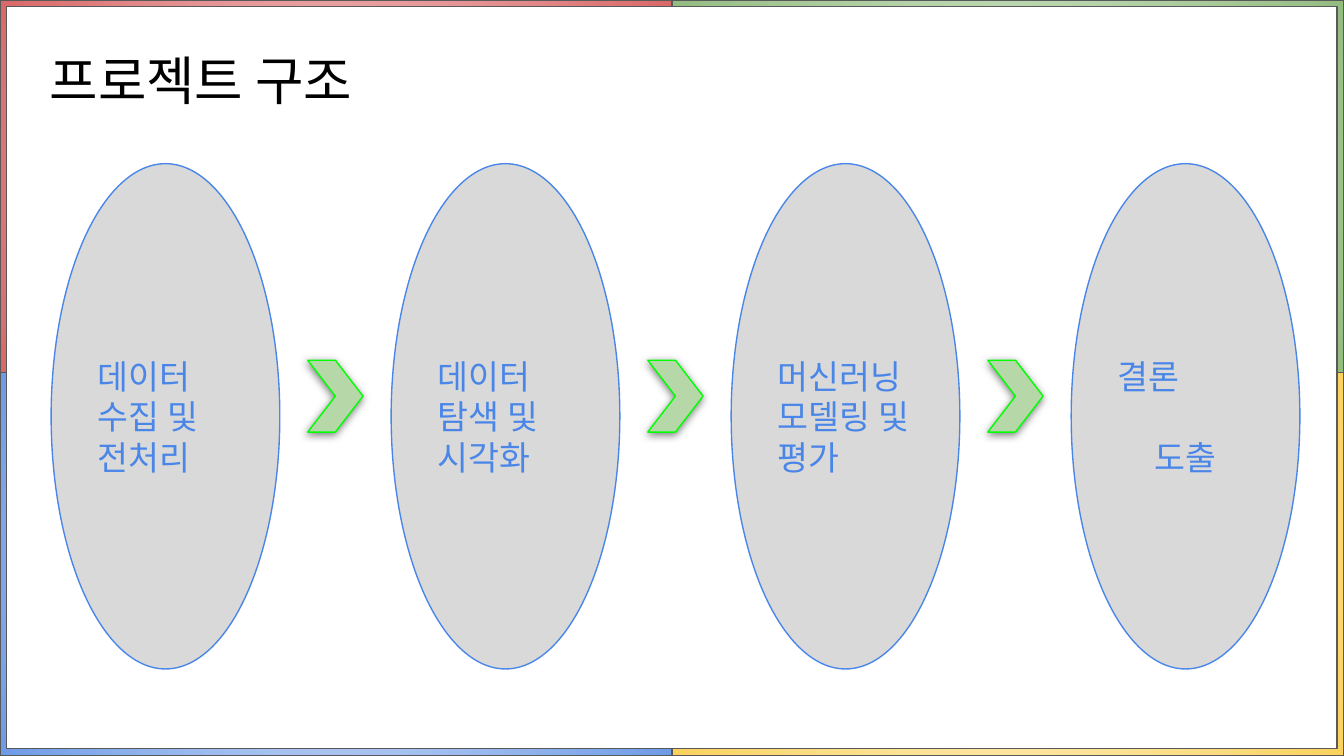
from dataclasses import dataclass

from lxml.etree import SubElement
from pptx import Presentation
from pptx.dml.color import RGBColor
from pptx.enum.shapes import MSO_SHAPE
from pptx.enum.text import MSO_ANCHOR, PP_ALIGN
from pptx.oxml import parse_xml
from pptx.oxml.ns import nsdecls, qn
from pptx.util import Pt

FONT = "Noto Sans CJK KR"
LINE_PITCH = 21.7
STEP_PITCH = 182.16
COLORS = {
    "white": "FFFFFF",
    "black": "000000",
    "frame": "595959",
    "oval": "D9D9D9",
    "blue": "4A86E8",
    "arrow": "B6D7A8",
    "green": "00FF00",
}


@dataclass
class Box:
    left: float
    top: float
    width: float
    height: float


@dataclass
class Corner:
    box: Box
    inner: str
    outer: str


@dataclass
class Step:
    lines: list[str]
    aligns: list[PP_ALIGN]


def rgb(name: str) -> RGBColor:
    return RGBColor.from_string(COLORS[name])


def add_shape(s, kind, box: Box, fill: str, line: str):
    sp = s.shapes.add_shape(
        kind, Pt(box.left), Pt(box.top), Pt(box.width), Pt(box.height)
    )
    sp.shadow.inherit = False
    sp.fill.solid()
    sp.fill.fore_color.rgb = rgb(fill)
    sp.line.color.rgb = rgb(line)
    sp.line.width = Pt(0.75)
    return sp


def add_corner(s, corner: Corner) -> None:
    sp = add_shape(s, MSO_SHAPE.RECTANGLE, corner.box, "white", "frame")
    solid = sp._element.spPr.find(qn("a:solidFill"))
    grad = parse_xml(
        f'<a:gradFill {nsdecls("a")} rotWithShape="1"><a:gsLst>'
        f'<a:gs pos="0"><a:srgbClr val="{corner.inner}"/></a:gs>'
        f'<a:gs pos="100000"><a:srgbClr val="{corner.outer}"/></a:gs></a:gsLst>'
        '<a:path path="circle">'
        '<a:fillToRect l="50000" t="50000" r="50000" b="50000"/></a:path></a:gradFill>'
    )
    solid.getparent().replace(solid, grad)


def add_chevron(s, box: Box) -> None:
    sp = add_shape(s, MSO_SHAPE.CHEVRON, box, "arrow", "green")
    effects = sp._element.spPr.find(qn("a:effectLst"))
    effects.append(parse_xml(
        f'<a:outerShdw {nsdecls("a")} blurRad="{Pt(4.5)}" dist="{Pt(1.5)}" '
        f'dir="6300000" algn="bl" rotWithShape="0"><a:srgbClr val="{COLORS["black"]}">'
        '<a:alpha val="50000"/></a:srgbClr></a:outerShdw>'
    ))


def write_text(sp, lines: list[str], aligns: list[PP_ALIGN], size: float, color: str) -> None:
    tf = sp.text_frame
    tf.word_wrap = True
    tf.vertical_anchor = MSO_ANCHOR.MIDDLE
    tf.margin_left = tf.margin_right = tf.margin_top = tf.margin_bottom = Pt(7.2)
    tf.text = "\n".join(lines)
    for p, align in zip(tf.paragraphs, aligns):
        p.alignment = align
        for r in p.runs:
            r.font.name = FONT
            r.font.size = Pt(size)
            r.font.color.rgb = rgb(color)
            SubElement(r.font._element, qn("a:ea")).set("typeface", FONT)


def add_step(s, box: Box, step: Step) -> None:
    sp = add_shape(s, MSO_SHAPE.OVAL, box, "oval", "blue")
    write_text(sp, step.lines, step.aligns, 18, "blue")
    for i, p in enumerate(sp.text_frame.paragraphs):
        p.line_spacing = Pt(LINE_PITCH)
        if i:
            p.space_before = Pt(LINE_PITCH)


CORNERS = [
    Corner(Box(0, 0, 360, 199.5), "F5D0D0", "D96868"),
    Corner(Box(360, 0, 360, 199.5), "DCECD5", "93BC81"),
    Corner(Box(0, 199.5, 360, 205.5), "DFE9FB", "6E9BE7"),
    Corner(Box(360, 199.5, 360, 205.5), "FFF6DB", "FAD25C"),
]
STEPS = [
    Step(["데이터 수집 및 전처리"], [PP_ALIGN.LEFT]),
    Step(["데이터 탐색 및 시각화"], [PP_ALIGN.LEFT]),
    Step(["머신러닝 모델링 및 평가"], [PP_ALIGN.LEFT]),
    Step(["결론", "도출"], [PP_ALIGN.LEFT, PP_ALIGN.CENTER]),
]


def main() -> None:
    prs = Presentation()
    prs.slide_width = Pt(720)
    prs.slide_height = Pt(405)
    s = prs.slides.add_slide(prs.slide_layouts[6])

    for corner in CORNERS:
        add_corner(s, corner)
    add_shape(s, MSO_SHAPE.RECTANGLE, Box(3.6, 3.6, 712.8, 397.5), "white", "frame")

    title = s.shapes.add_textbox(Pt(19.5), Pt(9.4), Pt(522), Pt(66.2))
    write_text(title, ["프로젝트 구조"], [PP_ALIGN.LEFT], 28.2, "black")

    for i in range(len(STEPS) - 1):
        add_chevron(s, Box(164.9 + i * STEP_PITCH, 193, 29.6, 38.5))
    for i, step in enumerate(STEPS):
        add_step(s, Box(27.4 + i * STEP_PITCH, 87.7, 122.5, 270.7), step)

    prs.save("out.pptx")


if __name__ == "__main__":
    main()
